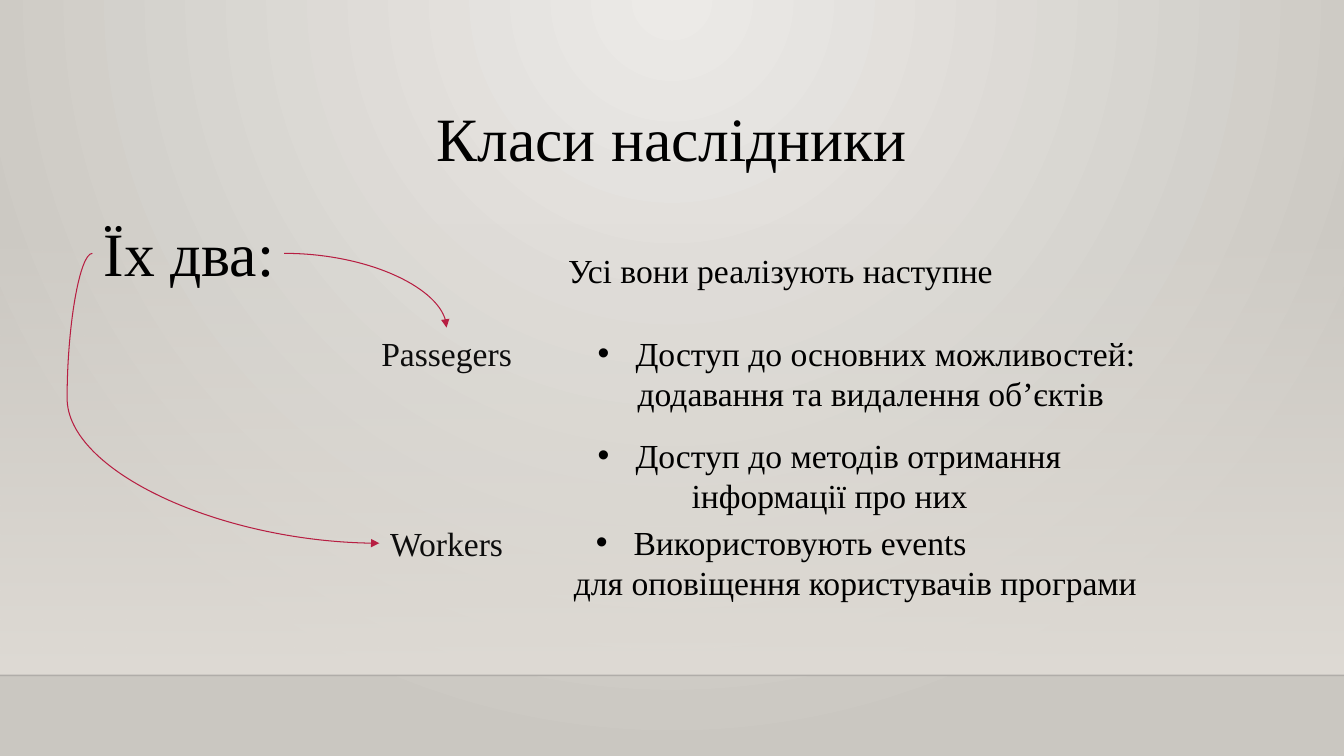
from pptx import Presentation
from pptx.dml.color import RGBColor
from pptx.enum.shapes import MSO_CONNECTOR, MSO_SHAPE
from pptx.enum.text import MSO_ANCHOR, MSO_AUTO_SIZE, PP_ALIGN
from pptx.oxml.ns import qn
from pptx.util import Pt
from lxml.etree import SubElement

COLORS = {
    "glow": "ECEAE7",
    "backdrop": "CAC7C1",
    "floor": "DFDBD5",
    "edge": "000001",
    "title": "000000",
    "class": "0D0D0D",
    "arrow": "B71E42",
}
FONT = "Times New Roman"
WIDTH, HEIGHT = 960, 540
FLOOR_TOP, FLOOR_EDGE = 159, 482.4
BULLET_INDENT = 27


def rgb(name):
    return RGBColor.from_string(COLORS[name])


def add_child(parent, tag, **attributes):
    return SubElement(parent, qn(tag), attributes)


def set_alpha(fill_element, percents):
    for color, percent in zip(fill_element.iter(qn("a:srgbClr")), percents):
        add_child(color, "a:alpha", val=str(percent * 1000))


def set_stops(fill, names):
    fill.gradient()
    for stop, name, position in zip(fill.gradient_stops, names, (0, 1)):
        stop.color.rgb = rgb(name)
        stop.position = position


def add_line(page, kind, start, end, color, width):
    line = page.shapes.add_connector(kind, *(Pt(value) for value in start + end))
    line.line.color.rgb = rgb(color)
    line.line.width = Pt(width)
    add_child(line._element.spPr, "a:effectLst")
    return line


def add_backdrop(page):
    """Radial background with a floor that fades in from above."""
    set_stops(page.background.fill, ("glow", "backdrop"))
    gradient = next(page._element.iter(qn("a:gradFill")))
    gradient.remove(gradient.find(qn("a:lin")))
    circle = add_child(gradient, "a:path", path="circle")
    add_child(circle, "a:fillToRect", l="43000", t="0", r="43000", b="100000")

    floor = page.shapes.add_shape(
        MSO_SHAPE.RECTANGLE, 0, Pt(FLOOR_TOP), Pt(WIDTH), Pt(FLOOR_EDGE - FLOOR_TOP))
    floor.shadow.inherit = False
    floor.line.fill.background()
    set_stops(floor.fill, ("floor", "floor"))
    floor.fill.gradient_angle = 270
    set_alpha(floor._element.spPr.find(qn("a:gradFill")), (0, 100))

    edge = add_line(page, MSO_CONNECTOR.STRAIGHT,
                    (0, FLOOR_EDGE), (WIDTH, FLOOR_EDGE), "edge", 1)
    set_alpha(edge._element.spPr.find(qn("a:ln")), (20,))


def write_para(para, text, size=24, color="title", bullet=False, indent=0):
    para.alignment = PP_ALIGN.CENTER
    span = para.add_run()
    span.text = text
    span.font.size = Pt(size)
    span.font.name = FONT
    span.font.color.rgb = rgb(color)
    properties = para._p.get_or_add_pPr()
    if bullet:
        properties.set("marL", str(Pt(BULLET_INDENT)))
        properties.set("indent", str(-Pt(BULLET_INDENT)))
        add_child(properties, "a:buFont", typeface="Arial")
        add_child(properties, "a:buChar", char="•")
    elif indent:
        properties.set("marL", str(Pt(indent)))


def prepare_frame(frame):
    frame.word_wrap = True
    frame.auto_size = MSO_AUTO_SIZE.NONE
    frame.vertical_anchor = MSO_ANCHOR.TOP
    frame.margin_left = frame.margin_right = 0
    frame.margin_top = frame.margin_bottom = Pt(3.6)


def add_title(page, box, text):
    title = page.shapes.title
    title.left, title.top, title.width, title.height = (Pt(value) for value in box)
    prepare_frame(title.text_frame)
    write_para(title.text_frame.paragraphs[0], text, size=44)


def add_label(page, box, text, **text_format):
    label = page.shapes.add_textbox(*(Pt(value) for value in box))
    prepare_frame(label.text_frame)
    write_para(label.text_frame.paragraphs[0], text, **text_format)
    return label


def add_feature(page, box, first, second, indent=0):
    """Bulleted line with a plain second line below it."""
    feature = add_label(page, box, first, bullet=True)
    write_para(feature.text_frame.add_paragraph(), second, indent=indent)


def add_curved_arrow(page, start, end, preset, bend=None):
    arrow = add_line(page, MSO_CONNECTOR.CURVE, start, end, "arrow", 0.75)
    add_child(arrow._element.spPr.find(qn("a:ln")), "a:tailEnd", type="triangle")
    geometry = arrow._element.spPr.find(qn("a:prstGeom"))
    geometry.set("prst", preset)
    if bend is not None:
        adjustments = geometry.find(qn("a:avLst"))
        add_child(adjustments, "a:gd", name="adj1", fmla=f"val {round(bend * 100000)}")


def add_classes(page, box):
    """Heading on the left with arrows to the two class names."""
    left, top, width, height = box
    heading_width, arrow_top = 138, top + 31
    center = left + width - 48
    add_label(page, (left, top, heading_width, 60), "Їх два:", size=44)
    add_label(page, (center - 60, top + 84, 120, 36), "Passegers", color="class")
    add_label(page, (center - 48, top + height - 36, 96, 36), "Workers", color="class")
    add_curved_arrow(page, (left + heading_width - 1, arrow_top), (center, top + 84),
                     "curvedConnector2")
    add_curved_arrow(page, (left, arrow_top), (center - 48, top + height - 18),
                     "curvedConnector3", bend=-0.088)


def add_features(page, box):
    left, top, width, height = box
    add_feature(page, (left + 21, top + 59, 402, 66),
                "Доступ до основних можливостей:",
                "додавання та видалення об’єктів", indent=6)
    add_feature(page, (left + 21, top + 132, 349, 66),
                "Доступ до методів отримання", "інформації про них")
    add_feature(page, (left - 104, top + height - 66, 530, 66),
                "Використовують events",
                "для оповіщення користувачів програми", indent=106)
    add_label(page, (left, top, 321, 36), "Усі вони реалізують наступне")


def main():
    deck = Presentation()
    deck.slide_width, deck.slide_height = Pt(WIDTH), Pt(HEIGHT)
    page = deck.slides.add_slide(deck.slide_layouts[5])
    add_backdrop(page)
    add_title(page, (303, 68, 354, 60), "Класи наслідники")
    add_classes(page, (66, 150, 301, 256))
    add_features(page, (397, 175, 426, 260))
    deck.save("out.pptx")


if __name__ == "__main__":
    main()
